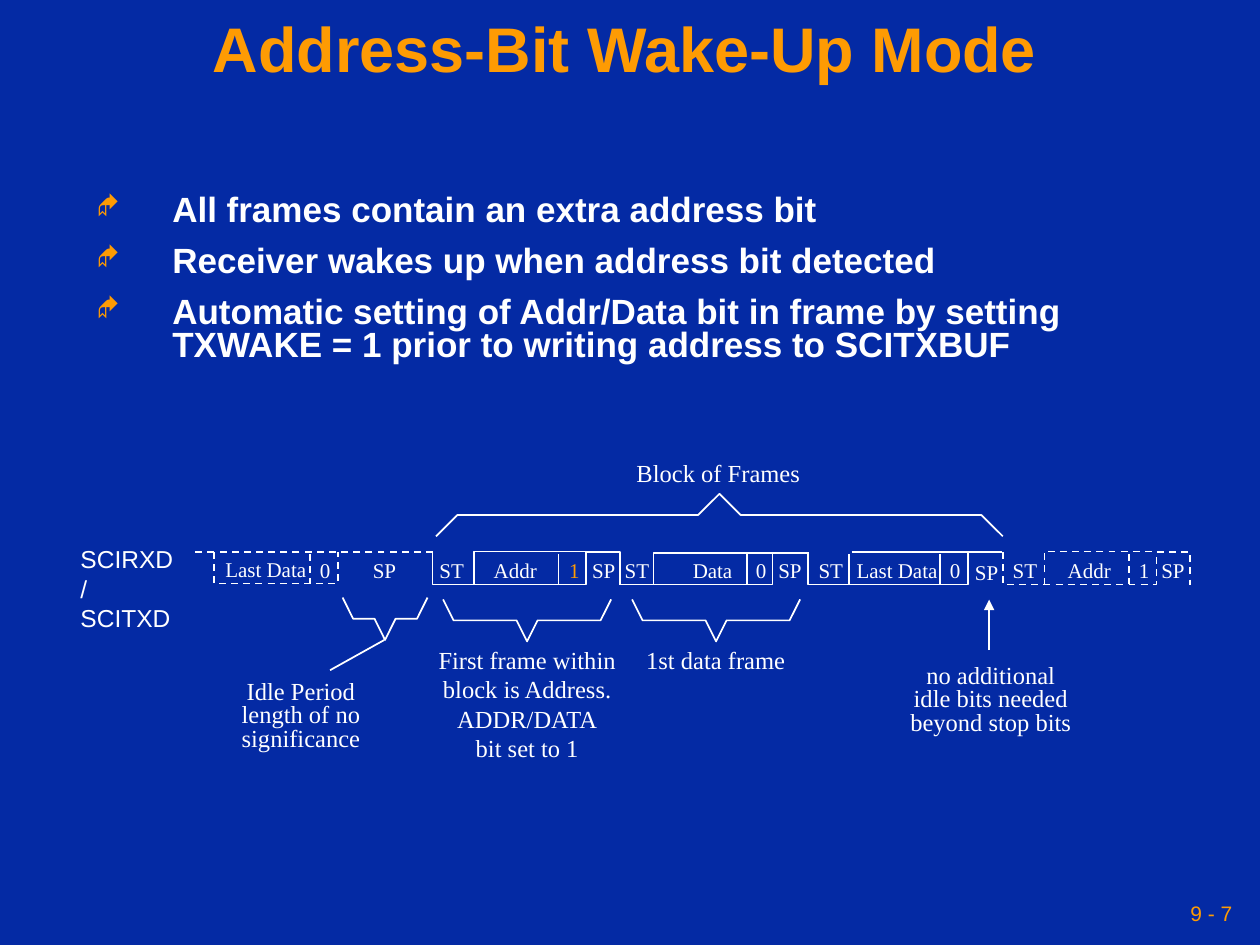
from dataclasses import dataclass

from lxml.etree import SubElement
from pptx import Presentation
from pptx.dml.color import RGBColor
from pptx.enum.dml import MSO_LINE_DASH_STYLE as DASH
from pptx.enum.shapes import MSO_CONNECTOR_TYPE as CONNECTOR
from pptx.enum.text import MSO_ANCHOR as ANCHOR, MSO_AUTO_SIZE as AUTO_SIZE, PP_ALIGN as ALIGN
from pptx.oxml.ns import qn
from pptx.util import Pt

NAVY = RGBColor(0x04, 0x2A, 0xA4)
ORANGE = RGBColor(0xFE, 0x9B, 0x03)
WHITE = RGBColor(0xFF, 0xFF, 0xFF)
SANS, SERIF = "Arial", "Times New Roman"

TOP, BOTTOM = 315.5, 334
CELL_WIDTHS = {"Last Data": 62, "ST": 30, "SP": 29, "Addr": 41,
               "Data": 39, "0": 22, "1": 22}
Point = tuple[float, float]


@dataclass
class Label:
    text: str
    left: float
    top: float
    width: float
    height: float
    size: float = 14
    font: str = SERIF
    color: RGBColor = WHITE
    align: ALIGN = ALIGN.CENTER
    spacing: float = 1.0
    wrap: bool = False
    inset: float = 7.2
    anchor: ANCHOR = ANCHOR.TOP


@dataclass
class Cell:
    text: str
    center: float
    top: float = 315
    color: RGBColor = WHITE


@dataclass
class Brace:
    left: float
    right: float
    edge: float
    tip: float
    inset: float


@dataclass
class Line:
    points: list[Point]
    dashed: bool = False


BULLETS = [
    "All frames contain an extra address bit",
    "Receiver wakes up when address bit detected",
    "Automatic setting of Addr/Data bit in frame by setting "
    "TXWAKE = 1 prior to writing address to SCITXBUF",
]

CELLS = [
    Cell("Last Data", 151.9, 314.6), Cell("0", 185.8), Cell("SP", 219.7),
    Cell("ST", 258.1), Cell("Addr", 294.5), Cell("1", 328.3, color=ORANGE),
    Cell("SP", 345), Cell("ST", 364), Cell("Data", 407.2), Cell("0", 434.9),
    Cell("SP", 451.4), Cell("ST", 474.8), Cell("Last Data", 512.6),
    Cell("0", 545.8), Cell("SP", 563.8, 316.4), Cell("ST", 585.7),
    Cell("Addr", 622.5), Cell("1", 653.8), Cell("SP", 670.3),
]

LABELS = [
    Label("SCIRXD/\nSCITXD", 38.9, 307.4, 68.4, 57, font=SANS,
          align=ALIGN.LEFT, wrap=True),
    Label("Block of Frames", 356, 258, 109, 23.8),
    Label("Idle Period\nlength of no\nsignificance", 130.5, 385.9, 83, 47.5, spacing=0.8),
    Label("First frame within\nblock is Address.\nADDR/DATA\nbit set to 1",
          242.8, 365, 117, 74),
    Label("1st data frame", 360.5, 365, 97, 23.8),
    Label("no additional\nidle bits needed\nbeyond stop bits",
          512.4, 376.6, 107.6, 47.5, spacing=0.8),
    Label("9 - 7", 491.8, 509.8, 216, 23.8, size=12, font=SANS, color=ORANGE,
          align=ALIGN.RIGHT, wrap=True, inset=3.6, anchor=ANCHOR.MIDDLE),
]

BRACES = [
    Brace(195.8, 244.3, 341.5, 365.7, 6),
    Brace(253.2, 349.2, 342.5, 366.5, 6),
    Brace(361.2, 457.2, 342.5, 366.5, 6),
    Brace(249.2, 573.1, 306.5, 282.2, 12.2),
]


def divider(x: float, dashed: bool = False) -> Line:
    return Line([(x, TOP + 1), (x, BOTTOM)], dashed)


def address_frame(left: float, dashed: bool = False) -> list[Line]:
    address, stop, end = left + 23.7, left + 87.8, left + 107
    return [
        Line([(left, TOP), (left, BOTTOM), (stop, BOTTOM), (stop, TOP),
              (end, TOP), (end, BOTTOM)], dashed),
        Line([(address, BOTTOM), (address, TOP - 0.4), (stop, TOP - 0.4)], dashed),
        divider(left + 72, dashed),
    ]


LINES = [
    Line([(247.5, TOP), (108.7, TOP)], True),
    Line([(122.2, TOP), (122.2, 333.4), (193.2, 333.4), (193.2, TOP)], True),
    divider(177.1, True),
    *address_frame(247.2),
    Line([(354.2, 332), (354.2, BOTTOM), (373.4, BOTTOM), (373.4, 316), (462, 316)]),
    Line([(373.4, BOTTOM), (441.5, BOTTOM), (441.5, 316)]),
    divider(427),
    Line([(461.7, TOP), (461.7, BOTTOM), (553.3, BOTTOM), (553.3, TOP)]),
    divider(485.2),
    Line([(486.7, TOP), (572.6, TOP)]),
    divider(537.1),
    *address_frame(573.1, True),
    Line([(219.6, 365.7), (188.6, 383)]),
]


def draw_label(slide, label: Label) -> None:
    shape = slide.shapes.add_textbox(
        Pt(label.left), Pt(label.top), Pt(label.width), Pt(label.height))
    frame = shape.text_frame
    frame.word_wrap = label.wrap
    frame.auto_size = AUTO_SIZE.NONE if label.wrap else AUTO_SIZE.SHAPE_TO_FIT_TEXT
    frame.vertical_anchor = label.anchor
    frame.margin_left = frame.margin_right = Pt(label.inset)
    frame.text = label.text
    for paragraph in frame.paragraphs:
        paragraph.alignment = label.align
        paragraph.line_spacing = label.spacing
        style_font(paragraph.font, label.font, label.size, label.color)


def style_font(font, name: str, size: float, color: RGBColor, bold: bool = False) -> None:
    font.name, font.size, font.bold = name, Pt(size), bold
    font.color.rgb = color


def draw_line(slide, line: Line):
    """Draw two points as a connector and more as an open outline."""
    points = [(Pt(x), Pt(y)) for x, y in line.points]
    if len(points) == 2:
        shape = slide.shapes.add_connector(CONNECTOR.STRAIGHT, *points[0], *points[1])
        SubElement(shape._element.spPr, qn("a:effectLst"))
    else:
        builder = slide.shapes.build_freeform(*points[0])
        builder.add_line_segments(points[1:], close=False)
        shape = builder.convert_to_shape()
        shape.fill.background()
        shape.shadow.inherit = False
    shape.line.color.rgb = WHITE
    shape.line.width = Pt(1)
    if line.dashed:
        shape.line.dash_style = DASH.DASH
    return shape


def draw_brace(slide, brace: Brace) -> None:
    middle, shoulder = (brace.left + brace.right) / 2, (brace.edge + brace.tip) / 2
    inset = brace.inset
    draw_line(slide, Line([
        (brace.left, brace.edge), (brace.left + inset, shoulder),
        (middle - inset, shoulder), (middle, brace.tip), (middle + inset, shoulder),
        (brace.right - inset, shoulder), (brace.right, brace.edge)]))


def draw_title(slide, text: str) -> None:
    title = slide.shapes.title
    title.left, title.top, title.width, title.height = Pt(0), Pt(0), Pt(714), Pt(60)
    title.text_frame.text = text
    title.text_frame.vertical_anchor = ANCHOR.MIDDLE
    paragraph = title.text_frame.paragraphs[0]
    paragraph.alignment, paragraph.line_spacing = ALIGN.CENTER, 0.9
    style_font(paragraph.font, SANS, 36, ORANGE, bold=True)


def draw_bullets(slide) -> None:
    frame = slide.shapes.add_textbox(Pt(48.2), Pt(108), Pt(629.3), Pt(103.7)).text_frame
    frame.word_wrap = True
    frame.text = "\n".join(BULLETS)
    for index, paragraph in enumerate(frame.paragraphs):
        paragraph.line_spacing = 0.8
        paragraph.space_before = Pt(10 if index else 0)
        properties = paragraph._p.get_or_add_pPr()
        properties.set("marL", str(Pt(43.2)))
        properties.set("indent", str(-Pt(43.2)))
        color = SubElement(properties, qn("a:buClr"))
        SubElement(color, qn("a:srgbClr"), val=str(ORANGE))
        SubElement(properties, qn("a:buSzPct"), val="75000")
        SubElement(properties, qn("a:buFont"), typeface="Wingdings")
        SubElement(properties, qn("a:buChar"), char="◆")
        style_font(paragraph.font, SANS, 20, WHITE, bold=True)


def main() -> None:
    presentation = Presentation()
    presentation.slide_width, presentation.slide_height = Pt(720), Pt(540)
    slide = presentation.slides.add_slide(presentation.slide_layouts[5])
    slide.background.fill.solid()
    slide.background.fill.fore_color.rgb = NAVY
    draw_title(slide, "Address-Bit Wake-Up Mode")
    draw_bullets(slide)
    for line in LINES:
        draw_line(slide, line)
    for brace in BRACES:
        draw_brace(slide, brace)
    arrow = draw_line(slide, Line([(565.2, 371.5), (565.2, 342.7)]))
    SubElement(arrow.line._get_or_add_ln(), qn("a:tailEnd"), type="triangle")
    for cell in CELLS:
        width = CELL_WIDTHS[cell.text]
        draw_label(slide, Label(cell.text, cell.center - width / 2, cell.top, width,
                                21.6, size=12, color=cell.color))
    for label in LABELS:
        draw_label(slide, label)
    presentation.save("out.pptx")


if __name__ == "__main__":
    main()
